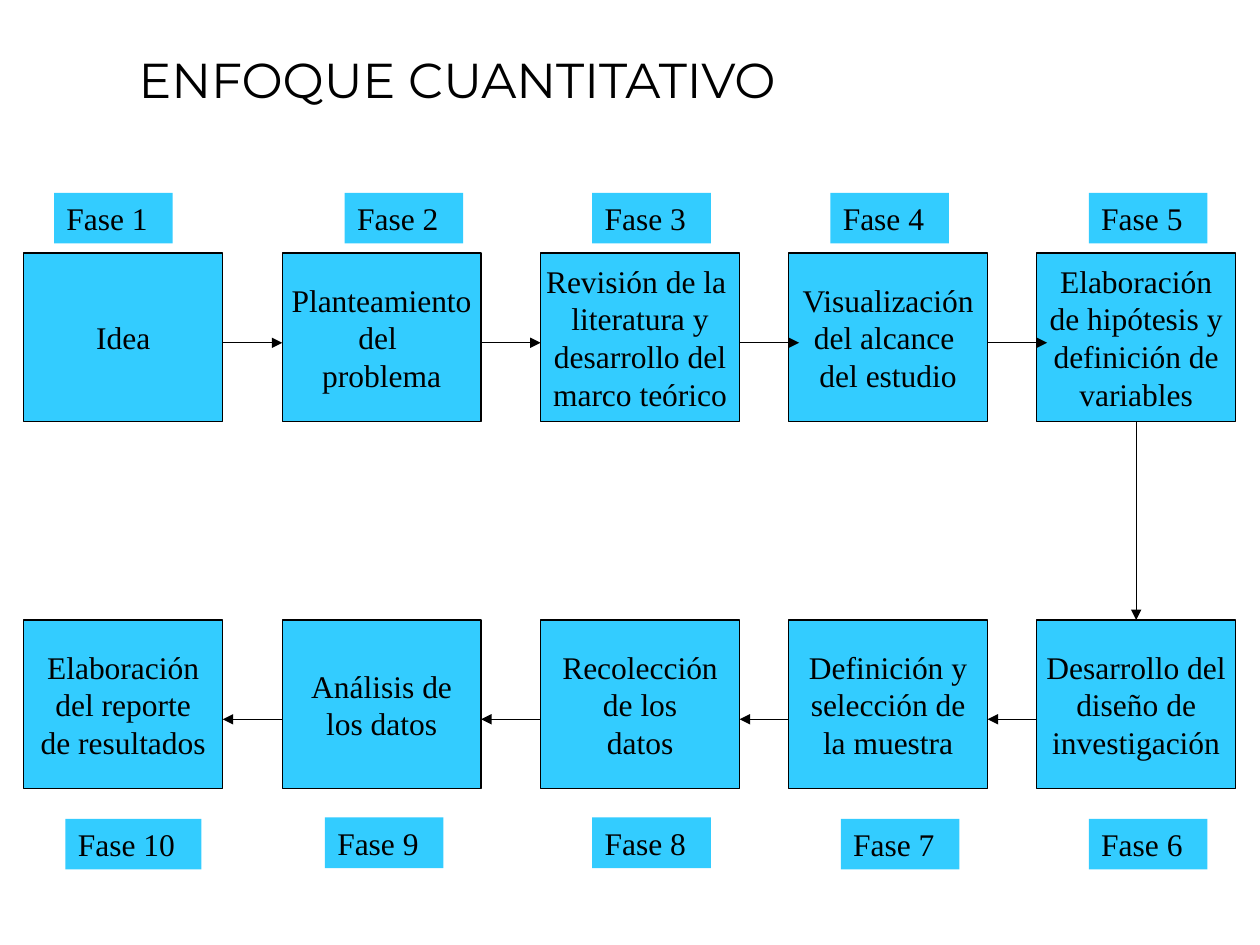
from lxml import etree
from pptx import Presentation
from pptx.dml.color import RGBColor
from pptx.enum.shapes import MSO_CONNECTOR as Connector, MSO_SHAPE as Shape
from pptx.enum.text import MSO_ANCHOR as Anchor, MSO_AUTO_SIZE as AutoSize, PP_ALIGN as Align
from pptx.oxml.ns import qn
from pptx.util import Cm, Pt

SKY = RGBColor(0x33, 0xCC, 0xFF)
BLACK = RGBColor(0, 0, 0)

BOX_WIDTH, BOX_HEIGHT = 4.01, 3.4
COLUMNS = [0.48, 5.69, 10.9, 15.9, 20.9]
UPPER_TOP, LOWER_TOP = 5.1, 12.5
UPPER_ARROW_Y, LOWER_ARROW_Y = 6.91, 14.5

upper_steps = [
    "Idea",
    "Planteamiento\ndel \nproblema",
    "Revisión de la \nliteratura y\ndesarrollo del\nmarco teórico",
    "Visualización\ndel alcance \ndel estudio",
    "Elaboración\nde hipótesis y\ndefinición de\nvariables",
]
lower_steps = [
    "Elaboración\ndel reporte\nde resultados",
    "Análisis de\nlos datos",
    "Recolección\nde los\ndatos",
    "Definición y\nselección de\nla muestra",
    "Desarrollo del\ndiseño de\ninvestigación",
]
phases = [
    (1, 1.09, 3.89), (2, 6.95, 3.89), (3, 11.94, 3.89), (4, 16.74, 3.89), (5, 21.95, 3.89),
    (10, 1.32, 16.51), (9, 6.55, 16.48), (8, 11.94, 16.48), (7, 16.95, 16.51), (6, 21.95, 16.51),
]

step_frame = {"word_wrap": False, "vertical_anchor": Anchor.MIDDLE}
phase_frame = {"word_wrap": False, "vertical_anchor": Anchor.TOP,
               "auto_size": AutoSize.SHAPE_TO_FIT_TEXT}
title_frame = {"word_wrap": True, "vertical_anchor": Anchor.MIDDLE}
body_font = {"name": "Times New Roman", "size": Pt(18)}
title_font = {"name": "Montserrat", "size": Pt(28)}


def write(shape, text, frame_format, font_format, align):
    frame = shape.text_frame
    frame.text = text
    for attribute, value in frame_format.items():
        setattr(frame, attribute, value)
    for paragraph in frame.paragraphs:
        paragraph.alignment = align
        for run in paragraph.runs:
            for attribute, value in font_format.items():
                setattr(run.font, attribute, value)
            run.font.color.rgb = BLACK


def add_block(left, top, width, height):
    block = slide.shapes.add_shape(Shape.RECTANGLE, Cm(left), Cm(top), Cm(width), Cm(height))
    block.shadow.inherit = False
    block.fill.solid()
    block.fill.fore_color.rgb = SKY
    return block


deck = Presentation()
deck.slide_width, deck.slide_height = Cm(25.4), Cm(19.05)
slide = deck.slides.add_slide(deck.slide_layouts[5])

heading = slide.shapes.title
heading_place = {"left": Cm(2.54), "top": Cm(0), "width": Cm(19.84), "height": Cm(3.18)}
for attribute, value in heading_place.items():
    setattr(heading, attribute, value)
write(heading, "ENFOQUE CUANTITATIVO", title_frame, title_font, Align.LEFT)

for top, steps in [(UPPER_TOP, upper_steps), (LOWER_TOP, lower_steps)]:
    for left, wording in zip(COLUMNS, steps):
        step = add_block(left, top, BOX_WIDTH, BOX_HEIGHT)
        step.line.color.rgb = BLACK
        step.line.width = Pt(0.75)
        write(step, wording, step_frame, body_font, Align.CENTER)

for number, left, top in phases:
    phase = add_block(left, top, 2.74 if number == 10 else 2.39, 1.02)
    phase.line.fill.background()
    write(phase, f"Fase {number}", phase_frame, body_font, Align.LEFT)

turn_x = COLUMNS[-1] + BOX_WIDTH / 2
routes = [(turn_x, UPPER_TOP + BOX_HEIGHT, turn_x, LOWER_TOP)]
for left, following in zip(COLUMNS, COLUMNS[1:]):
    right = left + BOX_WIDTH
    routes.append((right, UPPER_ARROW_Y, right + 1.2, UPPER_ARROW_Y))
    routes.append((following, LOWER_ARROW_Y, right, LOWER_ARROW_Y))

for route in routes:
    arrow = slide.shapes.add_connector(Connector.STRAIGHT, *map(Cm, route))
    arrow.line.color.rgb = BLACK
    arrow.line.width = Pt(0.75)
    etree.SubElement(arrow.line._get_or_add_ln(), qn("a:tailEnd"), type="triangle")
    etree.SubElement(arrow._element.spPr, qn("a:effectLst"))

deck.save("out.pptx")
